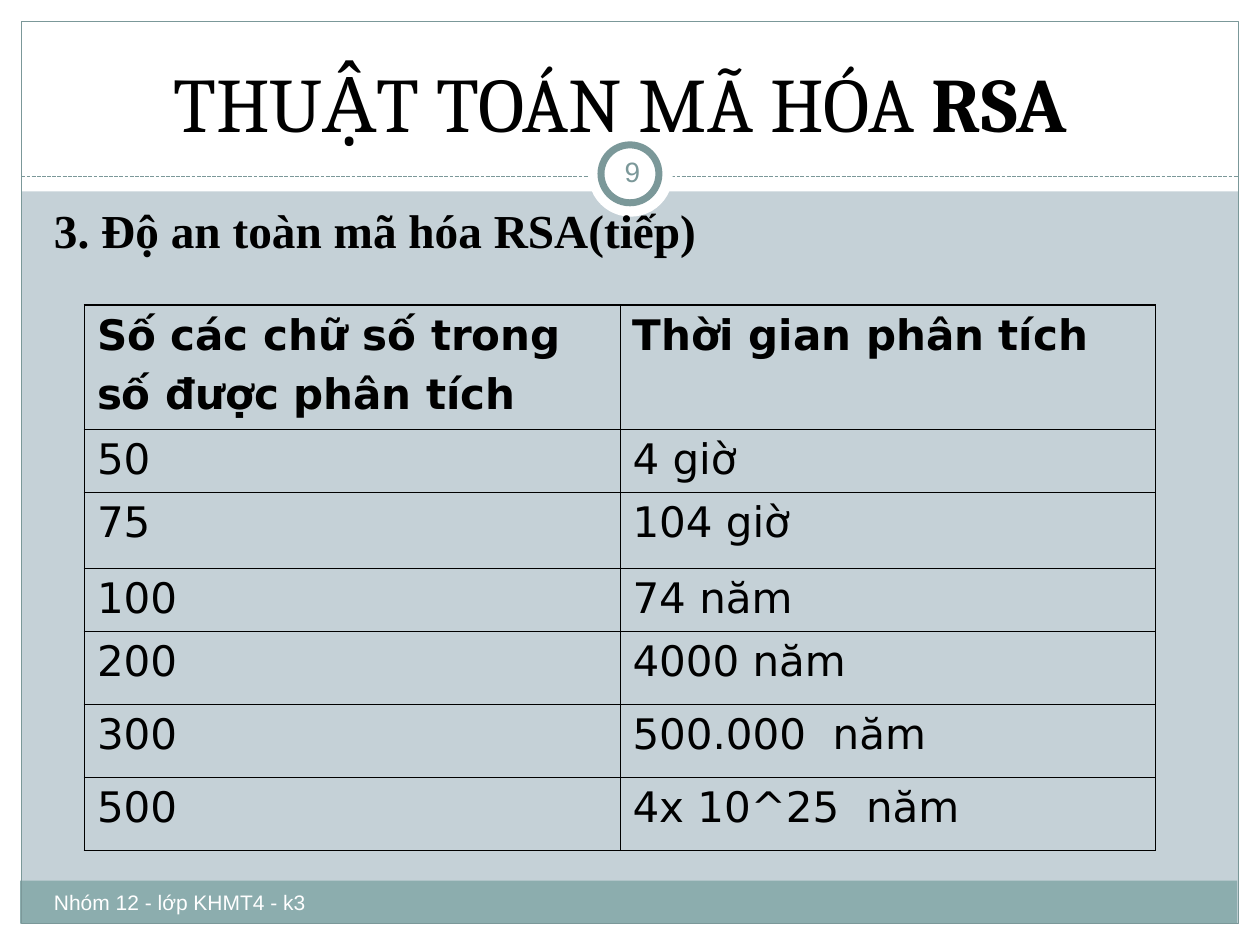
from dataclasses import dataclass
from typing import NamedTuple, Optional

from lxml.etree import SubElement
from pptx import Presentation
from pptx.dml.color import RGBColor
from pptx.enum.dml import MSO_LINE_DASH_STYLE as Dash
from pptx.enum.shapes import MSO_CONNECTOR as Connector, MSO_SHAPE as Shape
from pptx.enum.text import MSO_ANCHOR as Anchor, MSO_AUTO_SIZE as AutoSize, PP_ALIGN as Align
from pptx.oxml.ns import qn
from pptx.util import Inches, Pt


@dataclass(frozen=True)
class Theme:
    ground: str = "C5D1D7"
    white: str = "FFFFFF"
    black: str = "000000"
    accent: str = "7B9899"
    band: str = "8CADAE"
    title_size: float = 44
    heading_size: float = 27
    table_size: float = 24
    number_size: float = 16
    footer_size: float = 12
    outer_border: float = 1.08
    inner_border: float = 0.45


class Area(NamedTuple):
    left: float
    top: float
    width: float
    height: float


class Panel(NamedTuple):
    area: Area
    kind: Shape = Shape.RECTANGLE
    fill: Optional[str] = None
    line: Optional[str] = None
    weight: float = 0.75


class Row(NamedTuple):
    digits: str
    duration: str
    height: float


THEME = Theme()

FRAME_PANELS = [
    Panel(Area(0, 7.33, 10, 0.17), fill=THEME.white),
    Panel(Area(0, 0, 10, 1.52), fill=THEME.white),
    Panel(Area(0, 0, 0.17, 7.5), fill=THEME.white),
    Panel(Area(9.83, 0, 0.17, 7.5), fill=THEME.white),
    Panel(Area(0.16, 6.99, 9.66, 0.34), fill=THEME.band),
    Panel(Area(0.17, 0.17, 9.66, 7.16), line=THEME.accent),
]

BADGE_PANELS = [
    Panel(Area(4.67, 1.05, 0.67, 0.67), Shape.OVAL, THEME.white),
    Panel(Area(4.77, 1.15, 0.46, 0.46), Shape.OVAL, THEME.white, THEME.accent, 4),
]

ROWS = [
    Row("Số các chữ số trong\nsố được phân tích", "Thời gian phân tích", 0.99),
    Row("50", "4 giờ", 0.5),
    Row("75", "104 giờ", 0.6),
    Row("100", "74 năm", 0.5),
    Row("200", "4000 năm", 0.58),
    Row("300", "500.000  năm", 0.58),
    Row("500", "4x 10^25  năm", 0.58),
]


def lengths(area: Area) -> list:
    return [Inches(value) for value in area]


def add_span(para, text: str, *, font: str, size: float,
             color: str = THEME.black, bold: bool = False) -> None:
    span = para.add_run()
    span.text = text
    span.font.name = font
    span.font.size = Pt(size)
    span.font.bold = bold
    span.font.color.rgb = RGBColor.from_string(color)


def set_frame(frame, anchor: Anchor = Anchor.TOP, side: float = 0.1, top: float = 0.05) -> None:
    frame.word_wrap = True
    frame.auto_size = AutoSize.NONE
    frame.vertical_anchor = anchor
    frame.margin_left = frame.margin_right = Inches(side)
    frame.margin_top = Inches(top)
    frame.margin_bottom = Inches(0.05)


def add_text(page, area: Area, text: str, *, align: Align = Align.LEFT,
             anchor: Anchor = Anchor.TOP, side: float = 0.1, top: float = 0.05, **style) -> None:
    box = page.shapes.add_textbox(*lengths(area))
    set_frame(box.text_frame, anchor, side, top)
    para = box.text_frame.paragraphs[0]
    para.alignment = align
    add_span(para, text, **style)


def add_panel(page, panel: Panel) -> None:
    shape = page.shapes.add_shape(panel.kind, *lengths(panel.area))
    shape.shadow.inherit = False
    if panel.fill:
        shape.fill.solid()
        shape.fill.fore_color.rgb = RGBColor.from_string(panel.fill)
    else:
        shape.fill.background()
    if panel.line:
        shape.line.color.rgb = RGBColor.from_string(panel.line)
        shape.line.width = Pt(panel.weight)
    else:
        shape.line.fill.background()


def add_divider(page) -> None:
    line = page.shapes.add_connector(
        Connector.STRAIGHT, Inches(0.17), Inches(1.4), Inches(9.83), Inches(1.4))
    line.line.color.rgb = RGBColor.from_string(THEME.accent)
    line.line.width = Pt(0.75)
    line.line.dash_style = Dash.SQUARE_DOT
    SubElement(line.element.spPr, qn("a:effectLst"))


def set_borders(cell, outer_sides: dict[str, bool]) -> None:
    properties = cell._tc.get_or_add_tcPr()
    for side, outer in outer_sides.items():
        weight = THEME.outer_border if outer else THEME.inner_border
        border = SubElement(properties, qn(f"a:ln{side}"), w=str(Pt(weight)))
        fill = SubElement(border, qn("a:solidFill"))
        SubElement(fill, qn("a:srgbClr"), val=THEME.black)


def add_times_table(page, area: Area, rows: list[Row]) -> None:
    table = page.shapes.add_table(len(rows), 2, *lengths(area)).table
    table.first_row = table.horz_banding = False
    for column in table.columns:
        column.width = Inches(area.width / 2)
    for row_index, row in enumerate(rows):
        table.rows[row_index].height = Inches(row.height)
        for column_index, text in enumerate((row.digits, row.duration)):
            cell = table.cell(row_index, column_index)
            set_borders(cell, {
                "L": column_index == 0,
                "R": column_index == 1,
                "T": row_index == 0,
                "B": row_index == len(rows) - 1,
            })
            cell.fill.background()
            for line_index, line in enumerate(text.split("\n")):
                frame = cell.text_frame
                para = frame.add_paragraph() if line_index else frame.paragraphs[0]
                if line_index:
                    para.space_before = Pt(6)
                add_span(para, line, font="DejaVu Sans", size=THEME.table_size,
                         bold=row_index == 0)


def place_title(page, area: Area) -> None:
    title = page.shapes.title
    title.left, title.top, title.width, title.height = lengths(area)
    set_frame(title.text_frame, Anchor.MIDDLE)
    para = title.text_frame.paragraphs[0]
    para.alignment = Align.CENTER
    add_span(para, "THUẬT TOÁN MÃ HÓA ", font="Cambria", size=THEME.title_size)
    add_span(para, "RSA", font="Cambria", size=THEME.title_size, bold=True)
    page.shapes._spTree.append(title.element)


def main() -> None:
    deck = Presentation()
    deck.slide_width, deck.slide_height = Inches(10), Inches(7.5)
    page = deck.slides.add_slide(deck.slide_layouts[5])
    page.background.fill.solid()
    page.background.fill.fore_color.rgb = RGBColor.from_string(THEME.ground)
    for panel in FRAME_PANELS:
        add_panel(page, panel)
    add_divider(page)
    for panel in BADGE_PANELS:
        add_panel(page, panel)
    add_text(page, Area(0.33, 7.01, 3.92, 0.4), "Nhóm 12 - lớp KHMT4 - k3",
             font="Arial", size=THEME.footer_size, color=THEME.white)
    add_text(page, Area(4.77, 1.12, 0.5, 0.48), "9", align=Align.CENTER, anchor=Anchor.MIDDLE,
             side=0.05, font="Arial", size=THEME.number_size, color=THEME.accent)
    add_times_table(page, Area(0.67, 2.42, 8.5, 4.33), ROWS)
    place_title(page, Area(0.67, 0, 8.5, 1.61))
    add_text(page, Area(0.33, 1.5, 9.33, 0.58), "3. Độ an toàn mã hóa RSA(tiếp)", top=0.1,
             font="Times New Roman", size=THEME.heading_size, bold=True)
    deck.save("out.pptx")


if __name__ == "__main__":
    main()
